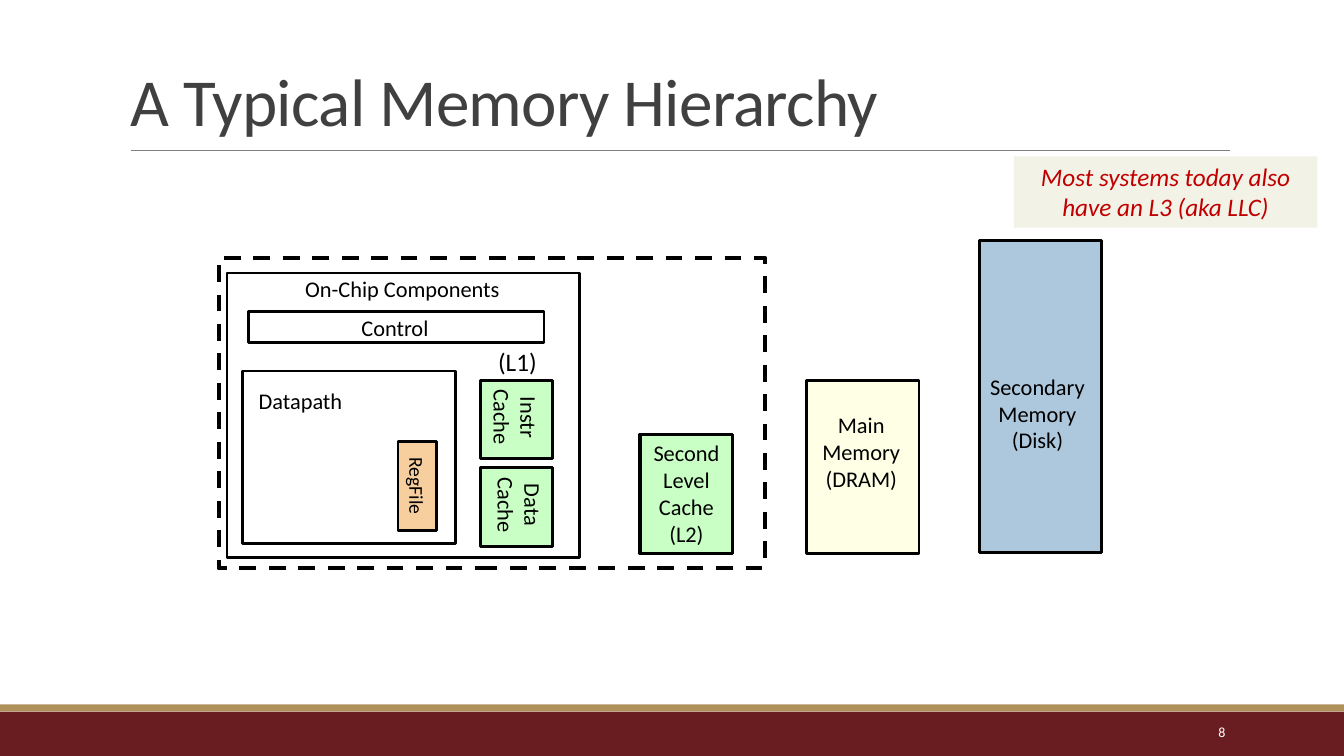
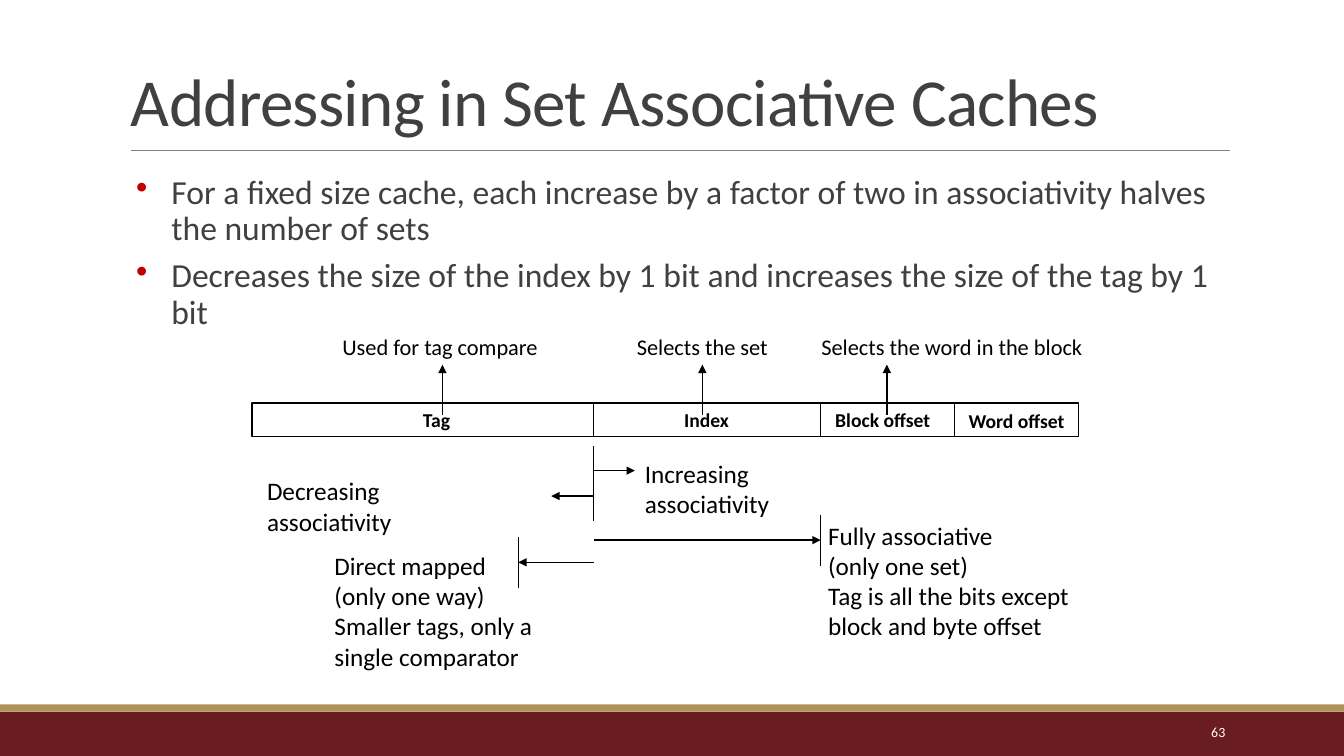
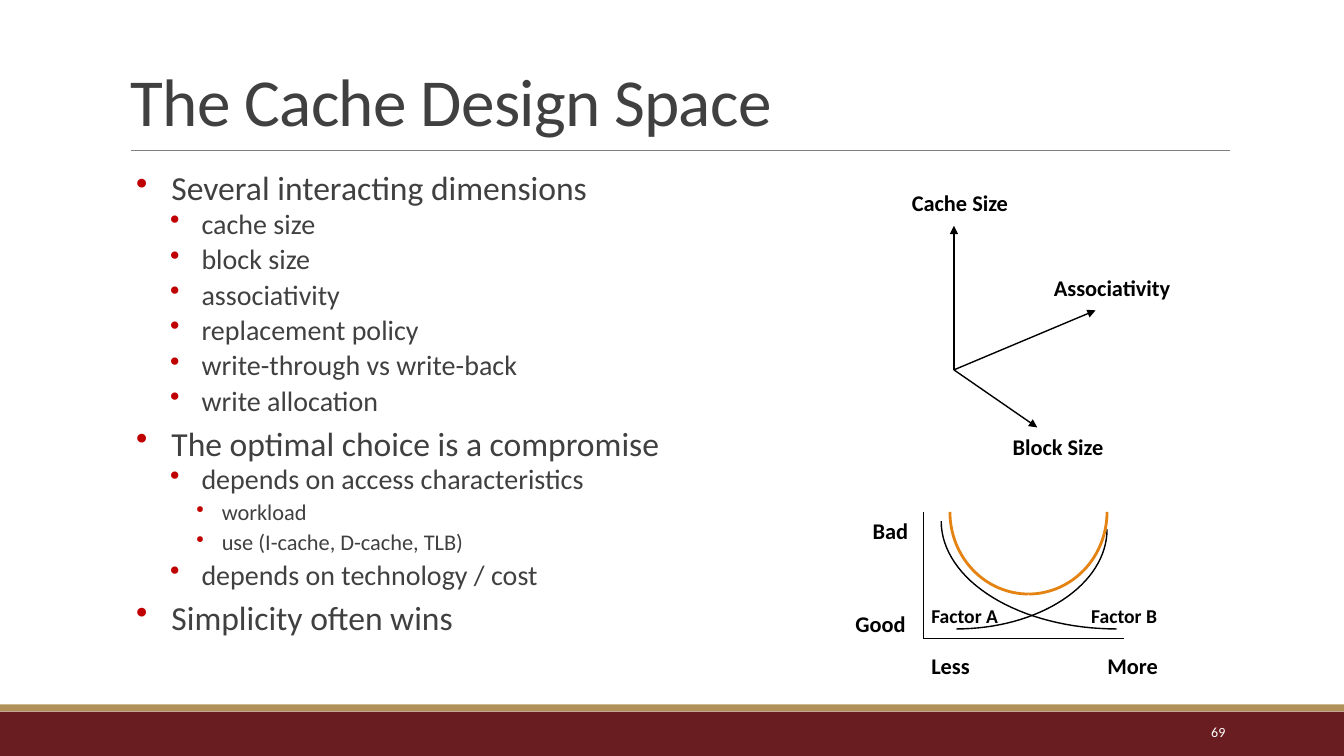
"""Build three slides on caches and the memory hierarchy."""
from dataclasses import dataclass
from math import cos, pi, sin

from lxml.etree import SubElement
from pptx import Presentation
from pptx.dml.color import RGBColor
from pptx.enum.dml import MSO_LINE
from pptx.enum.shapes import MSO_CONNECTOR as Link, MSO_SHAPE as Form
from pptx.enum.text import MSO_ANCHOR as Anchor, PP_ALIGN as Align
from pptx.oxml.ns import qn
from pptx.util import Cm, Pt


@dataclass(frozen=True)
class Theme:
    font: str = "Calibri"
    ink: str = "000000"
    text: str = "404040"
    white: str = "FFFFFF"
    red: str = "C00000"
    maroon: str = "691D20"
    gold: str = "B1915A"
    gray: str = "808080"
    green: str = "C9FFC4"
    blue: str = "ADC8DD"
    cream: str = "FEFFE5"
    peach: str = "F7CE9D"
    sand: str = "F3F2E6"
    orange: str = "E48312"
    title: int = 48
    note: int = 18
    label: int = 16
    small: int = 14
    foot: int = 10
    levels: tuple = (
        (24, 1.27, -0.89, 6, 2),
        (20, 2.03, -0.79, 2, 4),
        (16, 2.54, -0.64, 2, 4),
    )


class Deck:
    def __init__(self, theme):
        self.theme = theme
        self.show = Presentation()
        self.show.slide_width, self.show.slide_height = Cm(33.87), Cm(19.05)
        self.slide = None

    def page(self, title, number):
        t = self.theme
        self.slide = self.show.slides.add_slide(self.show.slide_layouts[6])
        self.rect(0, 17.93, 33.87, 1.12, t.maroon, None)
        self.rect(0, 17.75, 33.87, 0.18, t.gold, None)
        self.line(3.3, 3.78, 30.99, 3.78, color=t.gray, width=0.5)
        head = self.text(3.05, 0.79, 27.94, 2.87, [title], t.title,
                         color=t.text, anchor=Anchor.BOTTOM)
        para = head.text_frame.paragraphs[0]
        para.line_spacing = 0.85
        para.runs[0]._r.get_or_add_rPr().set("spc", "-50")
        self.text(27.5, 17.93, 3.63, 1.02, [str(number)], t.foot,
                  color=t.white, align=Align.RIGHT, anchor=Anchor.MIDDLE)

    def run(self, para, words, size, color=None, bold=False, italic=False):
        font = self.add(para, words).font
        font.name, font.size = self.theme.font, Pt(size)
        font.bold, font.italic = bold, italic
        font.color.rgb = RGBColor.from_string(color or self.theme.ink)

    def add(self, para, words):
        run = para.add_run()
        run.text = words
        return run

    def fill(self, shape, lines, size, align=Align.LEFT, anchor=Anchor.TOP, **style):
        frame = shape.text_frame
        frame.word_wrap = True
        frame.vertical_anchor = anchor
        for i, words in enumerate(lines):
            para = frame.add_paragraph() if i else frame.paragraphs[0]
            para.alignment = align
            self.run(para, words, size, **style)

    def text(self, x, y, w, h, lines, size, turn=0, **style):
        box = self.slide.shapes.add_textbox(Cm(x), Cm(y), Cm(w), Cm(h))
        box.rotation = turn
        self.fill(box, lines, size, **style)
        return box

    def label(self, x, y, w, words, size=None, bold=True):
        self.text(x, y, w + 0.1, 0.94, [words], size or self.theme.label, bold=bold)

    def rect(self, x, y, w, h, fill=None, line="000000", width=2):
        box = self.slide.shapes.add_shape(Form.RECTANGLE, Cm(x), Cm(y), Cm(w), Cm(h))
        box.shadow.inherit = False
        self.paint(box, fill, line, width)
        return box

    def paint(self, shape, fill, line, width):
        if fill:
            shape.fill.solid()
            shape.fill.fore_color.rgb = RGBColor.from_string(fill)
        else:
            shape.fill.background()
        if line:
            shape.line.color.rgb = RGBColor.from_string(line)
            shape.line.width = Pt(width)
        else:
            shape.line.fill.background()

    def line(self, x1, y1, x2, y2, arrow=False, color=None, width=1):
        link = self.slide.shapes.add_connector(
            Link.STRAIGHT, Cm(x1), Cm(y1), Cm(x2), Cm(y2))
        link.line.color.rgb = RGBColor.from_string(color or self.theme.ink)
        link.line.width = Pt(width)
        if arrow:
            SubElement(link.line._get_or_add_ln(), qn("a:tailEnd"), type="triangle")
        SubElement(link._element.spPr, qn("a:effectLst"))

    def curve(self, x, y, rx, ry, color=None, width=1, steps=32):
        turns = [pi / 2 * i / steps for i in range(steps + 1)]
        spots = [(Cm(x + rx * sin(a)), Cm(y + ry * cos(a))) for a in turns]
        pen = self.slide.shapes.build_freeform(*spots[0])
        pen.add_line_segments(spots[1:], close=False)
        arc = pen.convert_to_shape()
        arc.shadow.inherit = False
        self.paint(arc, None, color or self.theme.ink, width)

    def body(self, items, space):
        t = self.theme
        box = self.slide.shapes.add_textbox(Cm(3.05), Cm(4.29), Cm(27.94), Cm(12.01))
        frame = box.text_frame
        frame.word_wrap = True
        frame.margin_left = frame.margin_right = 0
        for i, (level, words) in enumerate(items):
            size, left, indent, before, after = t.levels[level]
            para = frame.add_paragraph() if i else frame.paragraphs[0]
            para.level = level
            para.line_spacing = space
            para.space_before = Pt(before if i else 0)
            para.space_after = Pt(after)
            props = para._p.get_or_add_pPr()
            props.set("marL", str(Cm(left)))
            props.set("indent", str(Cm(indent)))
            tint = SubElement(props, qn("a:buClr"))
            SubElement(tint, qn("a:srgbClr"), val=t.red)
            SubElement(props, qn("a:buChar"), char="•")
            self.run(para, words, size, color=t.text)


def memory(deck):
    t = deck.theme
    mid = Align.CENTER
    deck.page("A Typical Memory Hierarchy", 8)
    deck.rect(5.51, 6.5, 13.77, 7.82, width=3).line.dash_style = MSO_LINE.DASH
    level = deck.rect(16.13, 10.95, 2.34, 3, t.green, width=2.25)
    deck.fill(level, ["Second", "Level", "Cache", "(L2)"], t.label, align=mid)

    deck.rect(24.69, 6.07, 3.07, 7.85, t.blue)
    deck.text(24.61, 9.27, 3.07, 2.31, ["Secondary", "Memory", "(Disk)"],
              t.label, align=mid)
    deck.rect(20.32, 9.58, 2.84, 4.37, t.cream)
    deck.text(20.42, 10.24, 2.57, 2.31, ["Main", "Memory", "(DRAM)"],
              t.label, align=mid)

    deck.rect(6.27, 7.85, 7.44, 0.79)
    deck.label(8.86, 7.8, 2.34, "Control", bold=False)
    deck.rect(6.12, 9.35, 5.36, 4.34)
    deck.label(6.27, 9.63, 2.77, "Datapath", bold=False)
    deck.rect(5.72, 6.88, 8.89, 7.16)
    deck.label(7.44, 6.81, 5.92, "On-Chip Components", bold=False)

    file = deck.rect(10.03, 11.13, 0.97, 2.24, t.peach)
    deck.fill(file, ["RegFile"], t.small, align=mid, anchor=Anchor.MIDDLE)
    file.text_frame._txBody.bodyPr.set("vert", "vert")
    for y, x, kind in ((11.79, 11.86, "Data"), (9.58, 11.76, "Instr")):
        deck.rect(12.12, y, 1.8, 1.98, t.green)
        deck.text(x, y + 0.12, 2.46, 1.63, [kind, "Cache"], t.label,
                  turn=90, align=mid)

    note = deck.rect(25.55, 3.94, 7.65, 1.8, t.sand, None)
    deck.fill(note, ["Most systems today also have an L3 (aka LLC)"], t.note,
              align=mid, color=t.red, italic=True)
    deck.text(12.24, 8.61, 1.6, 1.02, ["(L1)"], t.note, align=mid)


def address(deck):
    t = deck.theme
    tag, index, block = 14.96, 20.68, 24.05
    top, base = 10.16, 11
    deck.page("Addressing in Set Associative Caches", 63)
    deck.body([
        (0, "For a fixed size cache, each increase by a factor of two in "
            "associativity halves the number of sets"),
        (0, "Decreases the size of the index by 1 bit and increases the size "
            "of the tag by 1 bit"),
    ], 0.9)

    deck.rect(6.35, top, 20.83, base - top, width=1)
    for x in (tag, index, block):
        deck.line(x, top, x, base)
    for x, y, w, words in (
        (20.8, top, 2.95, "Block offset"),
        (24.16, top + 0.03, 2.97, "Word offset"),
        (16.99, top, 1.68, "Index"),
        (10.41, top, 1.19, "Tag"),
    ):
        deck.label(x, y, w, words, t.small)
    for x, left, w, words in (
        (17.7, 15.8, 3.94, "Selects the set"),
        (11.15, 8.38, 5.44, "Used for tag compare"),
        (22.35, 20.45, 7.09, "Selects the word in the block"),
    ):
        deck.line(x, 10.46, x, 9.19, arrow=True)
        deck.label(left, 8.26, w, words, bold=False)

    for end, y in ((13.89, 12.5), (index, 13.61), (13.06, 14.17), (16, 11.86)):
        deck.line(tag, y, end, y, arrow=True)
    for x, y1, y2 in (
        (tag, 12.07, 13.13), (index, 12.98, 14.25),
        (13.06, 13.54, 14.81), (tag, 11.23, 12.5),
    ):
        deck.line(x, y1, x, y2)
    for x, y, w, h, lines in (
        (6.48, 11.86, 5, 1.8, ["Decreasing associativity"]),
        (16, 11.43, 5, 1.8, ["Increasing associativity"]),
        (20.62, 12.98, 6.68, 3.33, [
            "Fully associative", "(only one set)",
            "Tag is all the bits except", "block and byte offset"]),
        (8.18, 13.74, 6.63, 3.33, [
            "Direct mapped", "(only one way)",
            "Smaller tags, only a single comparator"]),
    ):
        deck.text(x, y, w, h, lines, t.note)


def design(deck):
    t = deck.theme
    deck.page("The Cache Design Space", 69)
    deck.body([
        (0, "Several interacting dimensions"),
        (1, "cache size"),
        (1, "block size"),
        (1, "associativity"),
        (1, "replacement policy"),
        (1, "write-through vs write-back"),
        (1, "write allocation"),
        (0, "The optimal choice is a compromise"),
        (1, "depends on access characteristics"),
        (2, "workload"),
        (2, "use (I-cache, D-cache, TLB)"),
        (1, "depends on technology / cost"),
        (0, "Simplicity often wins"),
    ], 0.8)

    for x, y in ((24.04, 5.69), (27.61, 7.82), (26.14, 10.77)):
        deck.line(24.04, 9.32, x, y, arrow=True)
    for x, y in ((23.28, 12.9), (28.32, 16.09)):
        deck.line(23.28, 16.09, x, y)
    for x, y, w, words in (
        (26.31, 6.78, 3.53, "Associativity"),
        (22.73, 4.65, 2.97, "Cache Size"),
        (25.27, 10.8, 2.82, "Block Size"),
        (21.74, 12.9, 1.42, "Bad"),
        (21.31, 15.24, 1.78, "Good"),
        (23.22, 16.31, 1.5, "Less"),
        (27.66, 16.31, 1.85, "More"),
    ):
        deck.label(x, y, w, words)

    deck.curve(28.14, 13.13, -4.42, 2.72)
    deck.curve(24.1, 13.34, 3.8, 2.51)
    for x, words in ((23.22, "Factor A"), (27.25, "Factor B")):
        deck.label(x, 15.09, 2.21, words, t.small)
    for side in (-1.98, 1.98):
        deck.curve(25.92, 12.9, side, 2.07, t.orange, 2)


def main():
    deck = Deck(Theme())
    for build in (memory, address, design):
        build(deck)
    deck.show.save("out.pptx")


if __name__ == "__main__":
    main()
